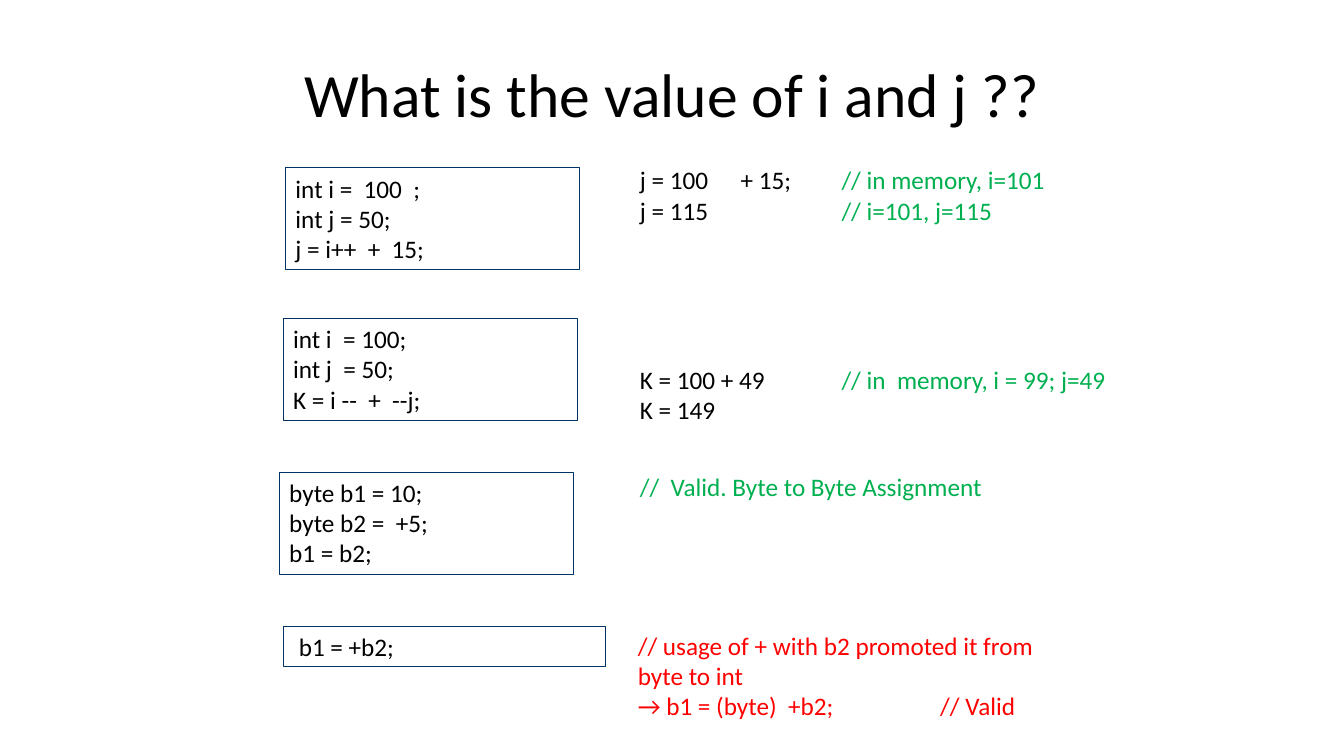
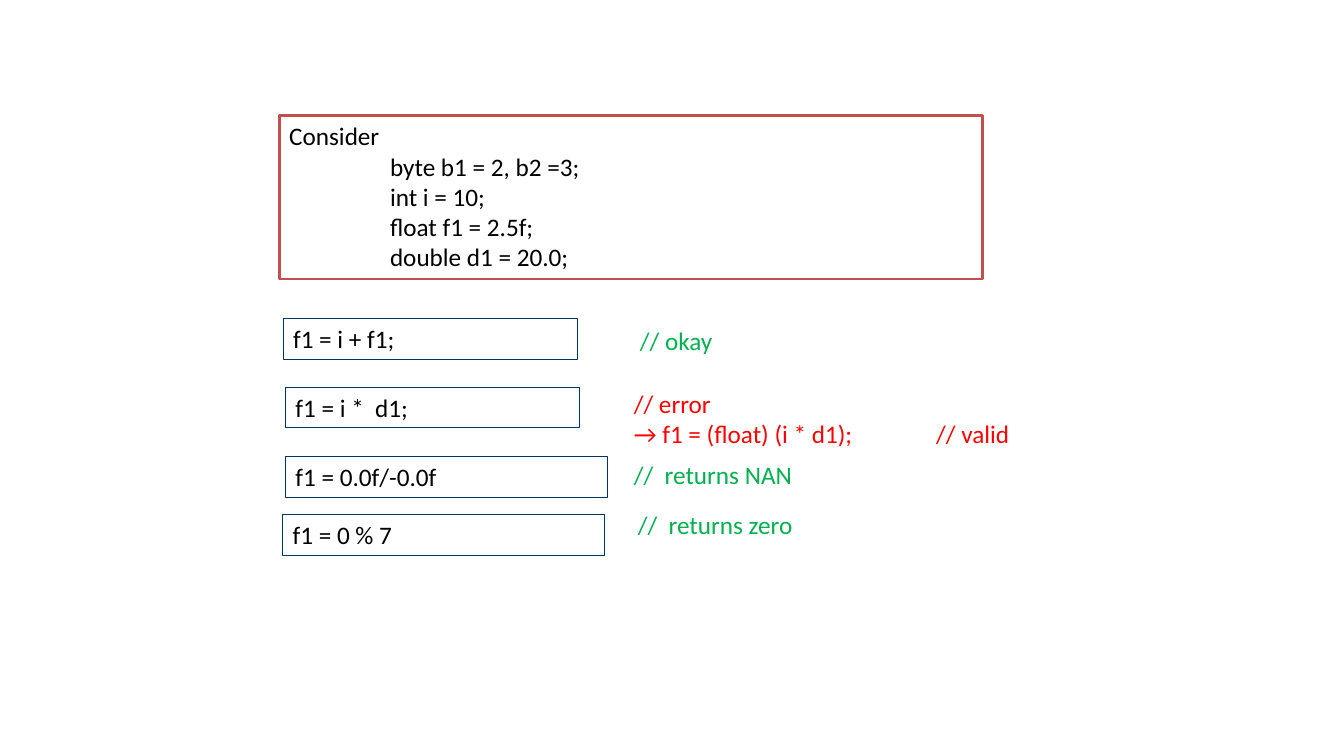
from dataclasses import dataclass

from lxml import etree
from pptx import Presentation
from pptx.dml.color import RGBColor
from pptx.enum import shapes as kinds, text as t
from pptx.oxml import ns
from pptx.util import Pt

COLORS = {
    "black": "000000",
    "white": "FFFFFF",
    "navy": "003366",
    "brick": "C0504D",
    "green": "00B050",
    "red": "FF0000",
}
FONT = "Calibri"
BODY_SIZE = 18
TITLE_SIZE = 44
LINE_HEIGHT = 21.9
VERTICAL_PADDING = 7.2
TAB_STOPS = (72, 144, 216, 288)

NARROW, WIDE = 210, 230
NOTE_WIDTH = 392


@dataclass(frozen=True)
class Segment:
    text: str
    color: str = "black"


@dataclass(frozen=True)
class CodeBox:
    left: float
    top: float
    width: float
    lines: tuple[str, ...]
    border: str = "navy"
    border_width: float = 0.75
    fill: str | None = None


@dataclass(frozen=True)
class Note:
    left: float
    top: float
    width: float
    lines: tuple[tuple[Segment, ...], ...]
    wrapped_lines: int = 0


def rgb(name: str) -> RGBColor:
    return RGBColor.from_string(COLORS[name])


def comment(color: str, *lines: str) -> tuple[tuple[Segment, ...], ...]:
    """Make lines of a single colour."""
    return tuple((Segment(line, color),) for line in lines)


def block_height(line_count: int) -> Pt:
    return Pt(VERTICAL_PADDING + LINE_HEIGHT * line_count)


def format_run(run, size: float, color: str) -> None:
    run.font.name = FONT
    run.font.size = Pt(size)
    run.font.color.rgb = rgb(color)


def set_tab_stops(paragraph) -> None:
    properties = paragraph._p.get_or_add_pPr()
    tab_list = etree.SubElement(properties, ns.qn("a:tabLst"))
    for position in TAB_STOPS:
        etree.SubElement(tab_list, ns.qn("a:tab"), pos=str(Pt(position)), algn="l")


def write_lines(shape, lines: tuple[tuple[Segment, ...], ...]) -> None:
    frame = shape.text_frame
    frame.word_wrap = True
    frame.auto_size = t.MSO_AUTO_SIZE.SHAPE_TO_FIT_TEXT
    frame.vertical_anchor = t.MSO_ANCHOR.TOP
    for index, segments in enumerate(lines):
        paragraph = frame.add_paragraph() if index else frame.paragraphs[0]
        paragraph.alignment = t.PP_ALIGN.LEFT
        set_tab_stops(paragraph)
        for segment in segments:
            run = paragraph.add_run()
            run.text = segment.text
            format_run(run, BODY_SIZE, segment.color)


def draw_title(slide, title: str) -> None:
    shape = slide.shapes.title
    shape.left, shape.top, shape.width, shape.height = Pt(48), Pt(21.6), Pt(864), Pt(90)
    shape.text_frame.text = title
    shape.text_frame.vertical_anchor = t.MSO_ANCHOR.MIDDLE
    paragraph = shape.text_frame.paragraphs[0]
    paragraph.alignment = t.PP_ALIGN.CENTER
    format_run(paragraph.runs[0], TITLE_SIZE, "black")


def draw_code_box(slide, box: CodeBox) -> None:
    shape = slide.shapes.add_shape(
        kinds.MSO_SHAPE.RECTANGLE,
        Pt(box.left), Pt(box.top), Pt(box.width), block_height(len(box.lines)),
    )
    shape.shadow.inherit = False
    if box.fill:
        shape.fill.solid()
        shape.fill.fore_color.rgb = rgb(box.fill)
    else:
        shape.fill.background()
    shape.line.color.rgb = rgb(box.border)
    shape.line.width = Pt(box.border_width)
    write_lines(shape, comment("black", *box.lines))


def draw_note(slide, note: Note) -> None:
    line_count = len(note.lines) + note.wrapped_lines
    shape = slide.shapes.add_textbox(
        Pt(note.left), Pt(note.top), Pt(note.width), block_height(line_count)
    )
    write_lines(shape, note.lines)


def draw_blocks(slide, boxes: tuple[CodeBox, ...], notes: tuple[Note, ...]) -> None:
    for box in boxes:
        draw_code_box(slide, box)
    for note in notes:
        draw_note(slide, note)


INCREMENT_BOXES = (
    CodeBox(204, 120, NARROW, ("int i =  100  ;", "int j = 50;", "j = i++  +  15;")),
    CodeBox(202.3, 227.5, NARROW, ("int i  = 100;", "int j  = 50;", "K = i --  +  --j;")),
    CodeBox(199.5, 337.2, NARROW, ("byte b1 = 10;", "byte b2 =  +5;", "b1 = b2;")),
    CodeBox(202.3, 447.2, WIDE, (" b1 = +b2;",)),
)
INCREMENT_NOTES = (
    Note(450, 114, 336, (
        (Segment("j = 100\t+ 15;\t"), Segment("// in memory, i=101", "green")),
        (Segment("j = 115\t\t"), Segment("// i=101, j=115", "green")),
    )),
    Note(450, 256.8, NOTE_WIDTH, (
        (Segment("K = 100 + 49"), Segment("\t// in  memory, i = 99; j=49", "green")),
        (Segment("K = 149"),),
    )),
    Note(450, 333.4, 288, comment("green", "//  Valid. Byte to Byte Assignment")),
    Note(448.5, 446.5, 320, comment(
        "red",
        "// usage of + with b2 promoted it from byte to int",
        "→ b1 = (byte)  +b2;\t\t// Valid",
    ), wrapped_lines=1),
)

CONVERSION_BOXES = (
    CodeBox(199.5, 82.6, 502.5, (
        "Consider",
        "\tbyte b1 = 2, b2 =3;",
        "\tint i = 10;",
        "\tfloat f1 = 2.5f;",
        "\tdouble d1 = 20.0;",
    ), border="brick", border_width=2, fill="white"),
    CodeBox(202.3, 227.5, NARROW, ("f1 = i + f1;",)),
    CodeBox(204, 276.5, NARROW, ("f1 = i *  d1;",)),
    CodeBox(204, 326.2, WIDE, ("f1 = 0.0f/-0.0f",)),
    CodeBox(202, 367.6, WIDE, ("f1 = 0 % 7",)),
)
CONVERSION_NOTES = (
    Note(450, 228.5, NOTE_WIDTH, comment("green", "// okay")),
    Note(445.7, 273.6, 341, comment(
        "red", "// error", "→ f1 = (float) (i * d1);\t// valid"
    )),
    Note(445.7, 324.5, NOTE_WIDTH, comment("green", "//  returns NAN")),
    Note(448.5, 360, NOTE_WIDTH, comment("green", "//  returns zero")),
)


def main() -> None:
    presentation = Presentation()
    presentation.slide_width, presentation.slide_height = Pt(960), Pt(540)
    title_only, blank = presentation.slide_layouts[5], presentation.slide_layouts[6]

    increment_slide = presentation.slides.add_slide(title_only)
    draw_title(increment_slide, "What is the value of i and j ??")
    draw_blocks(increment_slide, INCREMENT_BOXES, INCREMENT_NOTES)

    conversion_slide = presentation.slides.add_slide(blank)
    draw_blocks(conversion_slide, CONVERSION_BOXES, CONVERSION_NOTES)

    presentation.save("out.pptx")


if __name__ == "__main__":
    main()
